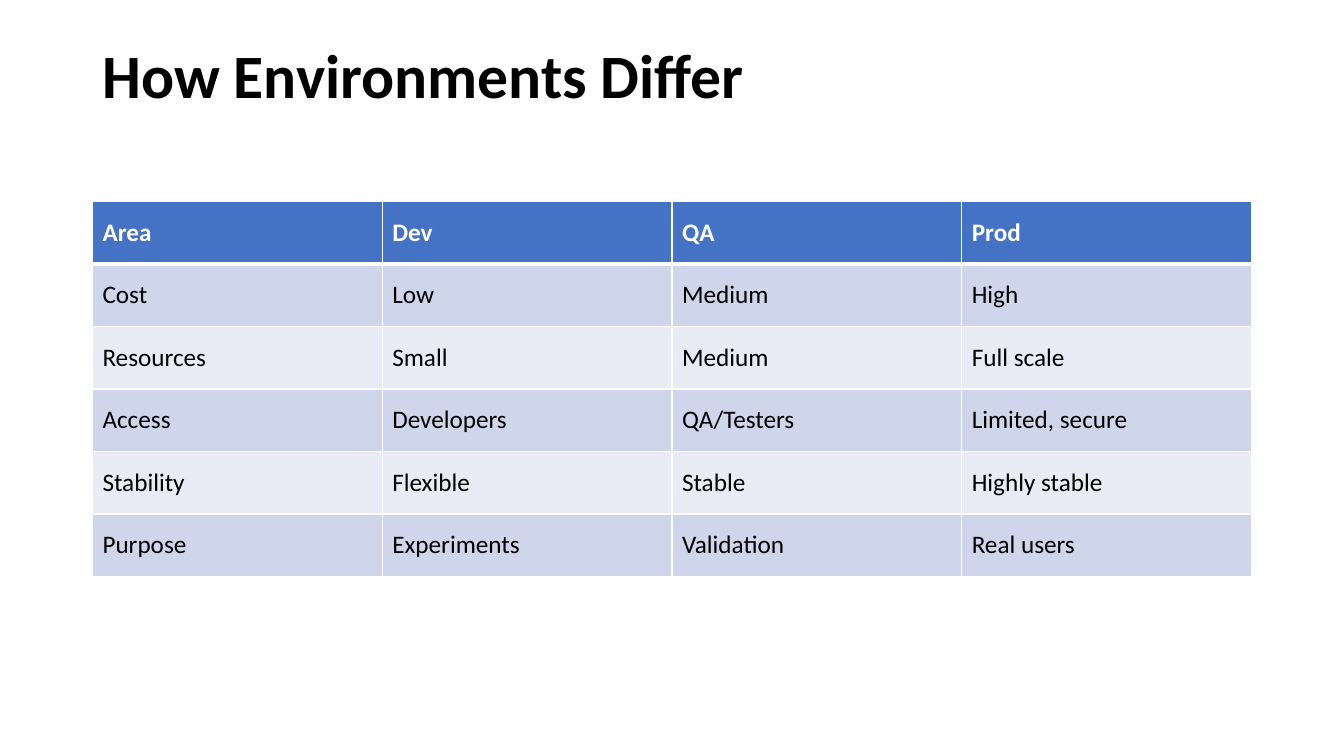
from lxml.etree import SubElement
from pptx import Presentation
from pptx.dml.color import RGBColor
from pptx.enum.text import MSO_ANCHOR
from pptx.oxml.ns import qn
from pptx.util import Cm, Pt

BLACK = RGBColor(0x00, 0x00, 0x00)
WHITE = RGBColor(0xFF, 0xFF, 0xFF)
BLUE = RGBColor(0x44, 0x72, 0xC4)
BANDS = (RGBColor(0xE9, 0xEB, 0xF5), RGBColor(0xCF, 0xD5, 0xEA))

TITLE = {"name": "Calibri", "size": Pt(44), "bold": True, "color": BLACK}
HEAD = {"name": "Calibri", "size": Pt(18), "bold": True, "color": WHITE}
BODY = HEAD | {"bold": False, "color": BLACK}

ROWS = (
    ("Area", "Dev", "QA", "Prod"),
    ("Cost", "Low", "Medium", "High"),
    ("Resources", "Small", "Medium", "Full scale"),
    ("Access", "Developers", "QA/Testers", "Limited, secure"),
    ("Stability", "Flexible", "Stable", "Highly stable"),
    ("Purpose", "Experiments", "Validation", "Real users"),
)


def style(font, form):
    for key, value in form.items():
        if key == "color":
            font.color.rgb = value
        else:
            setattr(font, key, value)


def add_title(slide, box, text):
    frame = slide.shapes.add_textbox(*box).text_frame
    frame.word_wrap = True
    frame.vertical_anchor = MSO_ANCHOR.TOP
    para = frame.paragraphs[0]
    para.text = text
    para.line_spacing = 0.9
    style(para.font, TITLE)


def set_edges(cell, top, base):
    """Draw white cell borders; top and base are the widths of those edges."""
    props = cell._tc.get_or_add_tcPr()
    edges = {"lnL": Pt(1), "lnR": Pt(1), "lnT": top, "lnB": base}
    for tag, width in edges.items():
        line = SubElement(props, qn(f"a:{tag}"), w=str(width))
        fill = SubElement(line, qn("a:solidFill"))
        SubElement(fill, qn("a:srgbClr"), val=str(WHITE))


def add_grid(slide, box, rows):
    table = slide.shapes.add_table(len(rows), len(rows[0]), *box).table
    for i, row in enumerate(rows):
        top = Pt(3 if i == 1 else 1)
        base = Pt(3 if i == 0 else 1)
        for j, text in enumerate(row):
            cell = table.cell(i, j)
            cell.text = text
            cell.vertical_anchor = MSO_ANCHOR.MIDDLE
            set_edges(cell, top, base)
            cell.fill.solid()
            cell.fill.fore_color.rgb = BANDS[i % 2] if i else BLUE
            style(cell.text_frame.paragraphs[0].font, BODY if i else HEAD)


def main():
    deck = Presentation()
    deck.slide_width, deck.slide_height = Cm(33.87), Cm(19.05)
    slide = deck.slides.add_slide(deck.slide_layouts[6])
    left, width = Cm(2.33), Cm(29.21)
    add_title(slide, (left, Cm(1.01), width, Cm(3.68)), "How Environments Differ")
    add_grid(slide, (left, Cm(5.08), width, Cm(9.45)), ROWS)
    deck.save("out.pptx")


if __name__ == "__main__":
    main()
